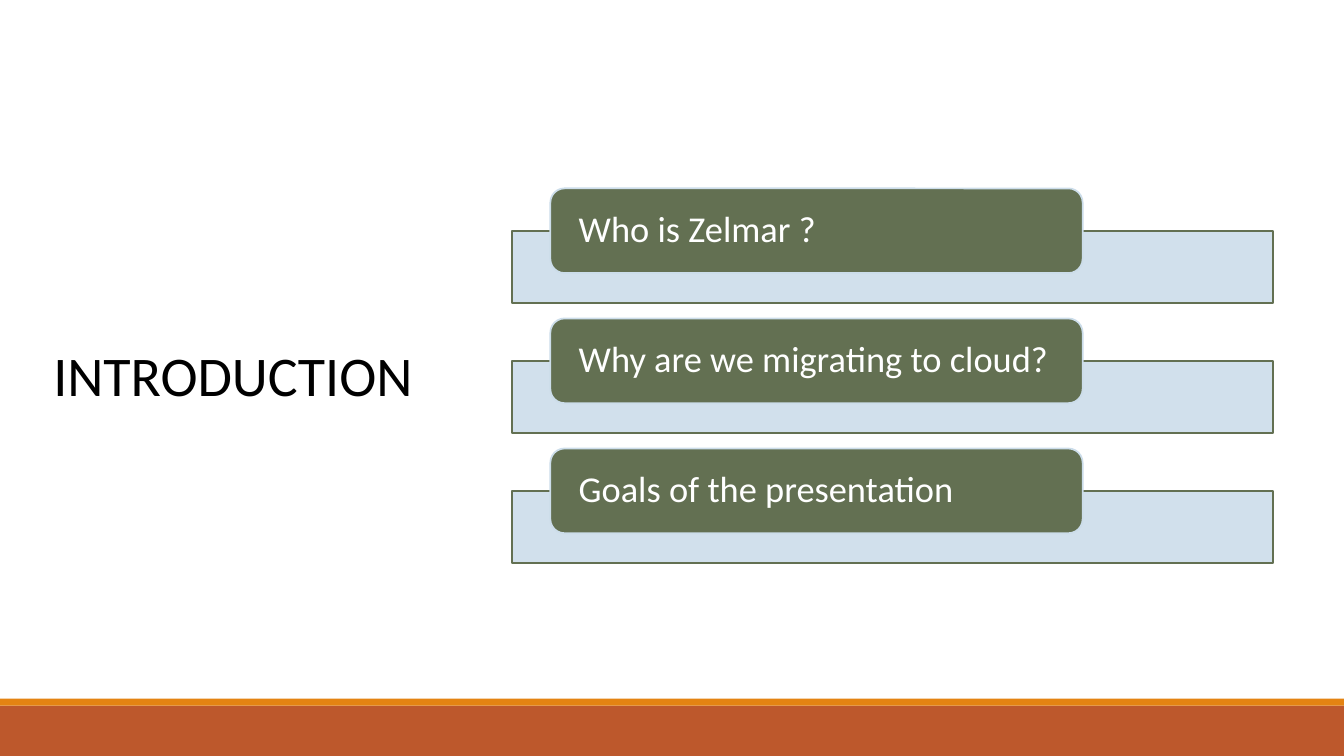
from dataclasses import dataclass

from lxml.etree import SubElement
from pptx import Presentation
from pptx.dml.color import RGBColor
from pptx.enum.shapes import MSO_SHAPE
from pptx.enum.text import MSO_ANCHOR, PP_ALIGN
from pptx.oxml.ns import qn
from pptx.util import Pt

# Content
TITLE = "INTRODUCTION"
TOPICS = [
    "Who is Zelmar ?",
    "Why are we migrating to cloud?",
    "Goals of the presentation",
]


@dataclass(frozen=True)
class Theme:
    font: str = "Calibri"
    title_size: int = 40
    topic_size: int = 26
    ink: str = "000000"
    white: str = "FFFFFF"
    green: str = "637052"
    pale_blue: str = "CCDDEA"
    rust: str = "BD582C"
    orange: str = "E48312"


THEME = Theme()

# Layout, in points
SLIDE_W, SLIDE_H = 960, 540
FOOTER_H, STRIPE_H = 36, 5
TITLE_BOX = (31, 50.4, 288, 440)
BAND_LEFT, BAND_W, BAND_H = 365.8, 543.6, 51.8
LABEL_LEFT, LABEL_W, LABEL_H = 393.1, 380.2, 60.5
FIRST_LABEL_TOP, BAND_DROP, TOPIC_PITCH = 134.6, 30.2, 92.9
LABEL_INSET = 17.3
OUTLINE = 1.25


def add_block(slide, kind, box, fill, line=None, alpha=None):
    block = slide.shapes.add_shape(kind, *map(Pt, box))
    block.shadow.inherit = False
    block.fill.solid()
    block.fill.fore_color.rgb = RGBColor.from_string(fill)
    if alpha is not None:
        color = block.fill._xPr.find(".//" + qn("a:srgbClr"))
        SubElement(color, qn("a:alpha"), val=str(alpha * 1000))
    if line:
        block.line.color.rgb = RGBColor.from_string(line)
        block.line.width = Pt(OUTLINE)
    else:
        block.line.fill.background()
    return block


def write(holder, text, size, color, space_after=0):
    frame = holder.text_frame
    frame.word_wrap = True
    frame.vertical_anchor = MSO_ANCHOR.MIDDLE
    paragraph = frame.paragraphs[0]
    paragraph.alignment = PP_ALIGN.LEFT
    paragraph.line_spacing = 0.9
    paragraph.space_after = Pt(space_after)
    run = paragraph.add_run()
    run.text = text
    run.font.name = THEME.font
    run.font.size = Pt(size)
    run.font.color.rgb = RGBColor.from_string(color)
    return frame


def main():
    deck = Presentation()
    deck.slide_width, deck.slide_height = Pt(SLIDE_W), Pt(SLIDE_H)
    slide = deck.slides.add_slide(deck.slide_layouts[6])

    # Footer bar with its stripe
    footer_top = SLIDE_H - FOOTER_H
    add_block(slide, MSO_SHAPE.RECTANGLE,
              (0, footer_top, SLIDE_W, FOOTER_H), THEME.rust)
    add_block(slide, MSO_SHAPE.RECTANGLE,
              (0, footer_top - STRIPE_H, SLIDE_W, STRIPE_H), THEME.orange)

    # Title
    title = slide.shapes.add_textbox(*map(Pt, TITLE_BOX))
    write(title, TITLE, THEME.title_size, THEME.ink, space_after=6)

    # Topics: a pale band with a rounded label over it
    for index, topic in enumerate(TOPICS):
        top = FIRST_LABEL_TOP + index * TOPIC_PITCH
        add_block(slide, MSO_SHAPE.RECTANGLE,
                  (BAND_LEFT, top + BAND_DROP, BAND_W, BAND_H),
                  THEME.pale_blue, THEME.green, alpha=90)
        label = add_block(slide, MSO_SHAPE.ROUNDED_RECTANGLE,
                          (LABEL_LEFT, top, LABEL_W, LABEL_H),
                          THEME.green, THEME.pale_blue)
        frame = write(label, topic, THEME.topic_size, THEME.white)
        frame.margin_left = frame.margin_right = Pt(LABEL_INSET)
        frame.margin_top = frame.margin_bottom = Pt(0)

    deck.save("out.pptx")


if __name__ == "__main__":
    main()
